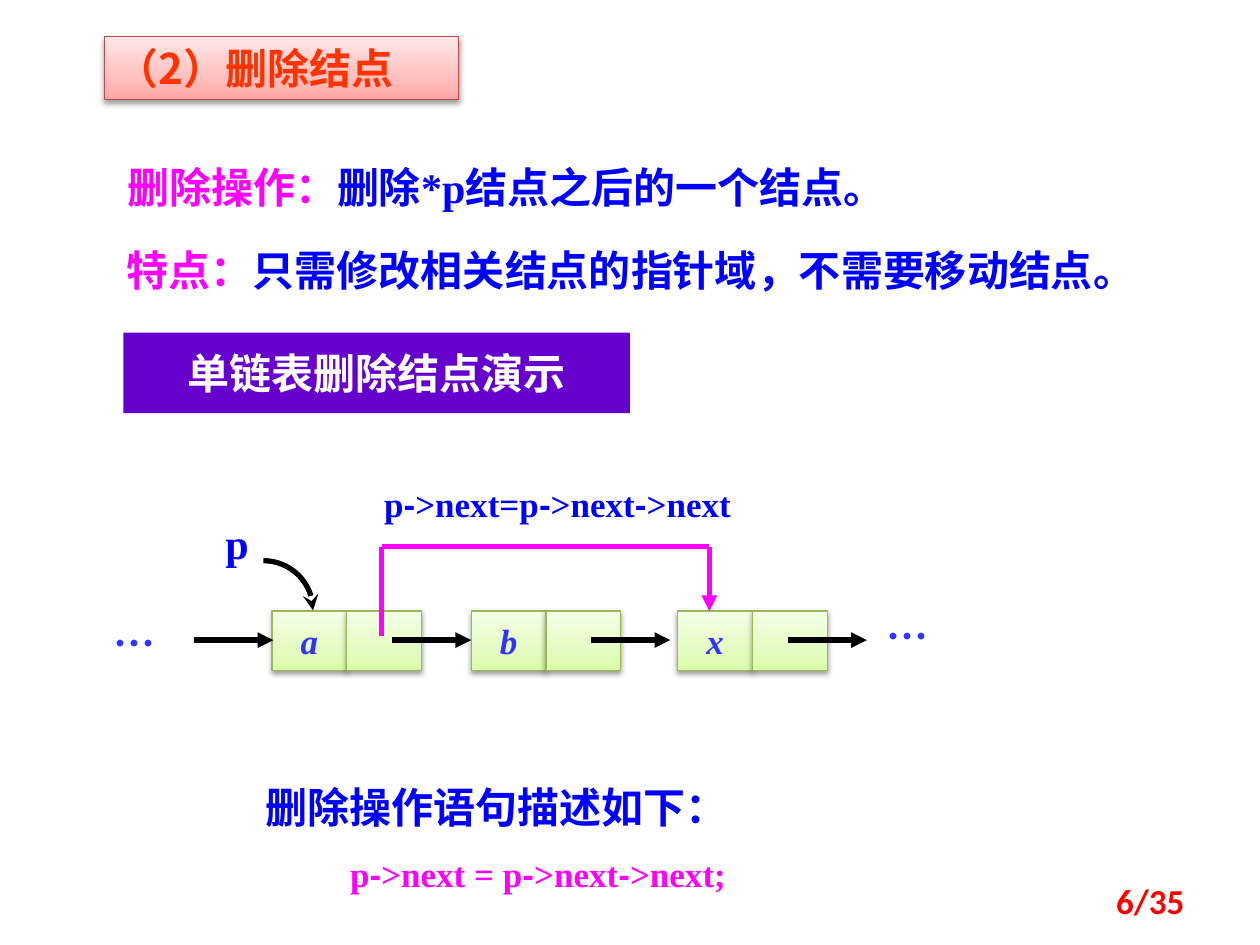
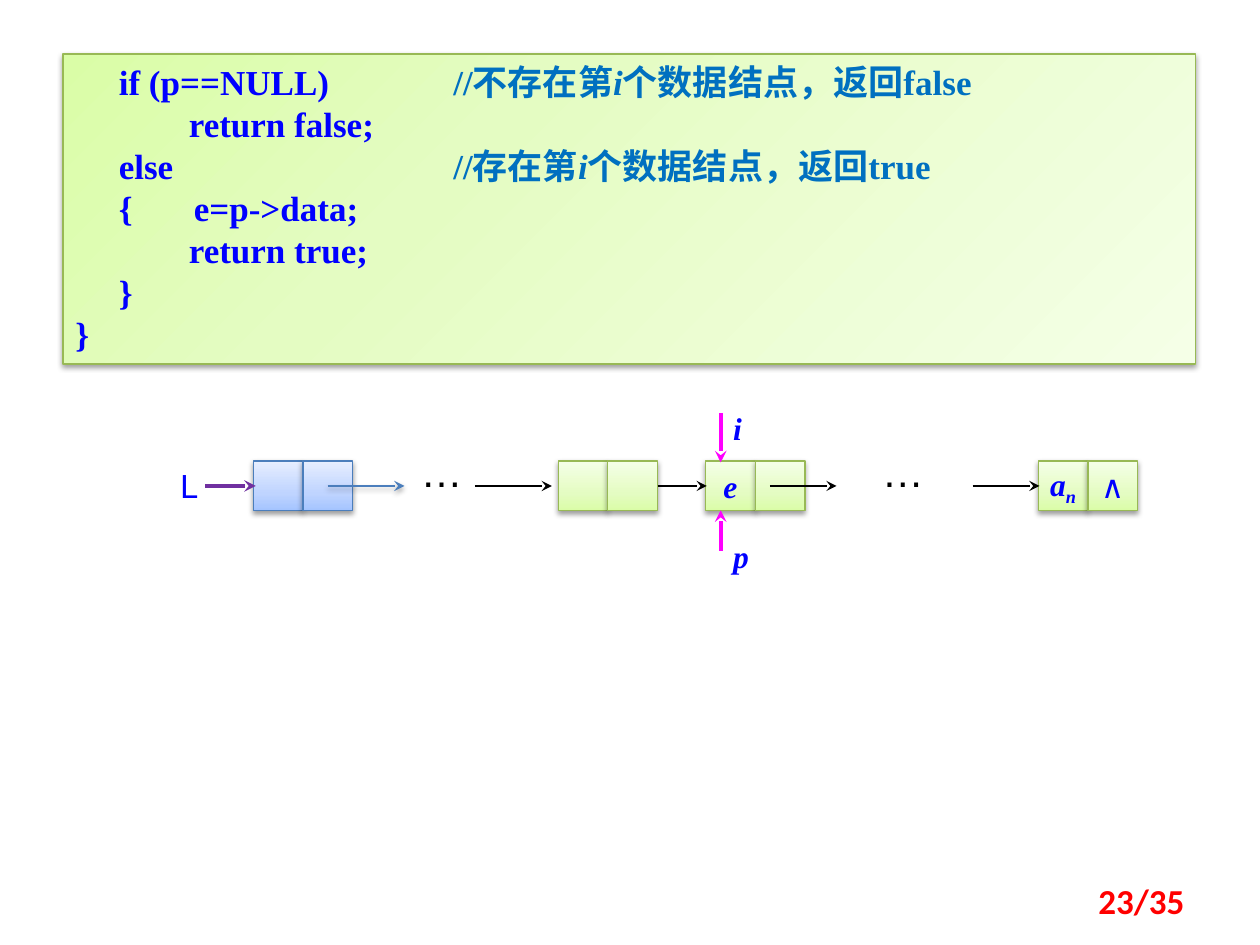
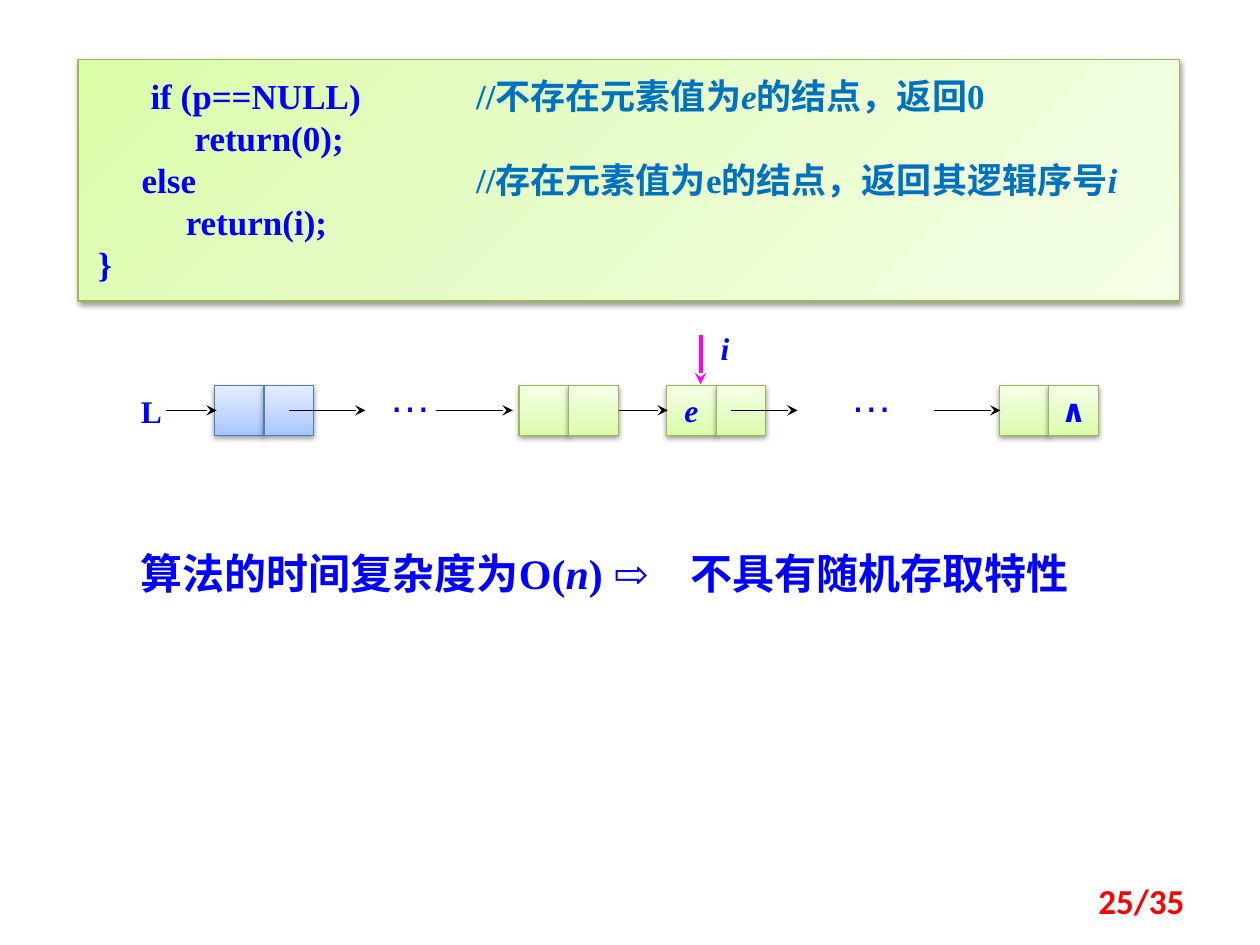
from dataclasses import dataclass, replace
from math import cos, pi, sin
from typing import Optional

from pptx import Presentation
from pptx.dml.color import RGBColor
from pptx.enum.shapes import MSO_CONNECTOR, MSO_SHAPE
from pptx.enum.text import MSO_ANCHOR, PP_ALIGN
from pptx.oxml import parse_xml
from pptx.oxml.ns import nsdecls, qn
from pptx.util import Inches, Pt

# Shared colours and fonts
BLACK = RGBColor(0x00, 0x00, 0x00)
WHITE = RGBColor(0xFF, 0xFF, 0xFF)
BLUE = RGBColor(0x00, 0x00, 0xFF)
SOFT_BLUE = RGBColor(0x33, 0x33, 0xFF)
COMMENT_BLUE = RGBColor(0x00, 0x70, 0xC0)
MAGENTA = RGBColor(0xFF, 0x00, 0xFF)
PURPLE = RGBColor(0x70, 0x30, 0xA0)
BANNER_PURPLE = RGBColor(0x66, 0x00, 0xCC)
ORANGE = RGBColor(0xFF, 0x33, 0x00)
RED = RGBColor(0xFF, 0x00, 0x00)
SERIF, HAN, SANS, SYMBOL = "Times New Roman", "Noto Sans CJK SC", "Arial", "DejaVu Sans"

# The slide is a grid of 100 columns and 75 rows
SLIDE_WIDTH, SLIDE_HEIGHT = Inches(10), Inches(7.5)
COLUMNS, ROWS = 100, 75


@dataclass(frozen=True)
class Theme:
    """Three gradient stops and an outline."""
    dark: RGBColor
    middle: RGBColor
    light: RGBColor
    outline: RGBColor


GREEN_THEME = Theme(RGBColor(0xDA, 0xFD, 0xA7), RGBColor(0xE4, 0xFC, 0xC2),
                    RGBColor(0xF5, 0xFF, 0xE7), RGBColor(0x98, 0xB9, 0x55))
BLUE_THEME = Theme(RGBColor(0xA4, 0xC4, 0xFF), RGBColor(0xBF, 0xD4, 0xFF),
                   RGBColor(0xE6, 0xEE, 0xFF), RGBColor(0x4B, 0x7E, 0xBC))
RED_THEME = Theme(RGBColor(0xFF, 0xA6, 0xA5), RGBColor(0xFF, 0xC0, 0xBF),
                  RGBColor(0xFF, 0xE7, 0xE7), RGBColor(0xBF, 0x4C, 0x48))


@dataclass(frozen=True)
class Area:
    """A place on the grid, in columns and rows."""
    left: float
    top: float
    width: float
    height: float

    def lengths(self) -> tuple:
        return (across(self.left), down(self.top), across(self.width), down(self.height))


@dataclass(frozen=True)
class Span:
    text: str
    color: RGBColor = BLUE
    size: float = 20
    font: str = SERIF
    bold: bool = True
    italic: bool = False
    baseline: int = 0
    shadow: bool = False


@dataclass(frozen=True)
class Para:
    spans: tuple
    align: PP_ALIGN = PP_ALIGN.LEFT
    spacing: float = 1.0
    indent: float = 0
    tabs: tuple = ()


def across(columns: float) -> int:
    return round(SLIDE_WIDTH * columns / COLUMNS)


def down(rows: float) -> int:
    return round(SLIDE_HEIGHT * rows / ROWS)


def shadow_xml(opacity: int = 38):
    return parse_xml(
        f'<a:outerShdw {nsdecls("a")} blurRad="{Pt(3.1)}" dist="{Pt(1.6)}" dir="5400000" '
        f'rotWithShape="0"><a:srgbClr val="000000"><a:alpha val="{opacity}000"/>'
        '</a:srgbClr></a:outerShdw>')


# Text
def write(shape, paras: list, anchor=MSO_ANCHOR.TOP, wrap: bool = True,
          inset: tuple = (1, 0.5)) -> None:
    frame = shape.text_frame
    frame.word_wrap = wrap
    frame.vertical_anchor = anchor
    frame.margin_left = frame.margin_right = across(inset[0])
    frame.margin_top = frame.margin_bottom = down(inset[1])
    for number, para in enumerate(paras):
        paragraph = frame.add_paragraph() if number else frame.paragraphs[0]
        paragraph.alignment = para.align
        paragraph.line_spacing = para.spacing
        properties = paragraph._p.get_or_add_pPr()
        if para.indent:
            properties.set("marL", str(across(para.indent)))
            properties.set("indent", "0")
        if para.tabs:
            stops = "".join(f'<a:tab pos="{across(stop)}" algn="l"/>' for stop in para.tabs)
            properties.append(parse_xml(f'<a:tabLst {nsdecls("a")}>{stops}</a:tabLst>'))
        for span in para.spans:
            write_span(paragraph.add_run(), span)


def write_span(run, span: Span) -> None:
    run.text = span.text
    font = run.font
    font.name, font.size = span.font, Pt(span.size)
    font.bold, font.italic = span.bold, span.italic
    font.color.rgb = span.color
    properties = run._r.get_or_add_rPr()
    east = SYMBOL if span.font == SYMBOL else HAN
    properties.find(qn("a:latin")).addnext(
        parse_xml(f'<a:ea {nsdecls("a")} typeface="{east}"/>'))
    if span.baseline:
        properties.set("baseline", str(span.baseline * 1000))
    if span.shadow:
        effects = parse_xml(f'<a:effectLst {nsdecls("a")}/>')
        effects.append(shadow_xml(43))
        properties.find(qn("a:solidFill")).addnext(effects)


def add_text(page, area: Area, *paras: Para, anchor=MSO_ANCHOR.TOP) -> None:
    write(page.shapes.add_textbox(*area.lengths()), list(paras), anchor)


def pointer_code(code: str, color: RGBColor) -> tuple:
    """Code in serif letters whose minus signs are sans."""
    pieces = code.replace("-", "|-|").split("|")
    return tuple(Span(piece, color, font=SANS if piece == "-" else SERIF) for piece in pieces)


# Shapes and lines
def add_panel(page, area: Area, theme: Theme, angle: int = 270):
    panel = page.shapes.add_shape(MSO_SHAPE.RECTANGLE, *area.lengths())
    panel.line.color.rgb = theme.outline
    panel.line.width = Pt(0.75)
    panel.shadow.inherit = False
    panel.fill.background()
    properties = panel._element.spPr
    properties.find(qn("a:effectLst")).append(shadow_xml())
    stops = "".join(
        f'<a:gs pos="{share}000"><a:srgbClr val="{color}"/></a:gs>'
        for share, color in ((0, theme.dark), (35, theme.middle), (100, theme.light)))
    properties.replace(properties.find(qn("a:noFill")), parse_xml(
        f'<a:gradFill {nsdecls("a")} rotWithShape="1"><a:gsLst>{stops}</a:gsLst>'
        f'<a:lin ang="{angle * 60000}" scaled="1"/></a:gradFill>'))
    return panel


def add_node(page, left: float, top: float, width: float, height: float,
             data: tuple = (), link: tuple = (), theme: Theme = GREEN_THEME) -> None:
    """A list node: a data cell and a link cell side by side."""
    for column, spans in enumerate((data, link)):
        cell = add_panel(page, Area(left + column * width, top, width, height), theme)
        if spans:
            write(cell, [Para(spans, PP_ALIGN.CENTER)], MSO_ANCHOR.MIDDLE, wrap=False)


def set_line(shape, color: RGBColor, weight: float, head: Optional[str]) -> None:
    shape.line.color.rgb = color
    shape.line.width = Pt(weight)
    if head:
        shape.line._get_or_add_ln().append(
            parse_xml(f'<a:tailEnd {nsdecls("a")} type="{head}"/>'))


def add_arrow(page, start: tuple, end: tuple, color: RGBColor = BLACK, weight: float = 0.75,
              head: Optional[str] = "stealth", shadow: bool = False) -> None:
    arrow = page.shapes.add_connector(MSO_CONNECTOR.STRAIGHT, across(start[0]), down(start[1]),
                                      across(end[0]), down(end[1]))
    set_line(arrow, color, weight, head)
    effects = parse_xml(f'<a:effectLst {nsdecls("a")}/>')
    if shadow:
        effects.append(shadow_xml())
    arrow._element.spPr.append(effects)


def add_arc(page, left: float, top: float, size: float) -> None:
    """A quarter turn from the upper left to the lower right."""
    steps = 24
    angles = [pi / 2 * step / steps for step in range(steps + 1)]
    points = [(across(left + size * sin(angle)), down(top + size * (1 - cos(angle))))
              for angle in angles]
    builder = page.shapes.build_freeform(*points[0])
    builder.add_line_segments(points[1:], close=False)
    arc = builder.convert_to_shape()
    arc.fill.background()
    arc.shadow.inherit = False
    set_line(arc, BLACK, 3, "stealth")


# Parts shared by the slides
def add_page(deck, number: int):
    page = deck.slides.add_slide(deck.slide_layouts[6])
    add_text(page, Area(71.7, 69.5, 23.3, 4),
             Para((Span(f"{number}/35", RED, font="Calibri"),), PP_ALIGN.RIGHT),
             anchor=MSO_ANCHOR.MIDDLE)
    return page


def add_label(page, left: float, top: float, span: Span, width: float = 3.9) -> None:
    add_text(page, Area(left, top, width, 4), Para((span,)))


def add_code(page, area: Area, lines: list, inset: tuple) -> None:
    panel = add_panel(page, area, GREEN_THEME, angle=45)
    write(panel, [Para(spans, tabs=tabs) for tabs, spans in lines], inset=inset)


NAME = Span("", size=18, italic=True)
COMMENT = Span("", COMMENT_BLUE)
COMMENT_STOP = 30
CELL = 3.94


def add_chain(page, left: float, top: float, last: tuple, wedge: Span, dots: Span,
              dots_shift: float = 0, entry: tuple = (BLACK, 0.75),
              first: tuple = (BLACK, False)) -> None:
    """The list from its head node to the last one."""
    element = (replace(NAME, text="e"),)
    nodes = ((0, (), (), BLUE_THEME), (24.2, (), (), GREEN_THEME),
             (35.9, element, (), GREEN_THEME), (62.3, last, (wedge,), GREEN_THEME))
    for offset, data, link, theme in nodes:
        add_node(page, left + offset, top, CELL, CELL, data, link, theme)
    middle = top + CELL / 2
    add_arrow(page, (left - 3.8, middle), (left + 0.2, middle), *entry)
    add_arrow(page, (left + 5.9, middle), (left + 12, middle), first[0], shadow=first[1])
    for start, end in ((17.6, 23.7), (32.1, 36), (41, 46.3), (57.1, 62.4)):
        add_arrow(page, (left + start, middle), (left + end, middle))
    for offset in (12.3, 48.9):
        add_text(page, Area(left + offset + dots_shift, top - 1.7, 7.9, 5), Para((dots,)))


def build_delete_page(deck) -> None:
    page = add_page(deck, 6)
    heading = Span("", size=24)
    # Title band, explanation and banner
    title = add_panel(page, Area(8.3, 2.9, 28.1, 5), RED_THEME)
    write(title, [Para((Span("（2）删除结点", ORANGE, 24, HAN),))])
    add_text(page, Area(9.1, 11.5, 69.5, 5.9), Para((
        replace(heading, text="删除操作：", color=MAGENTA),
        replace(heading, text="删除*p结点之后的一个结点。")), PP_ALIGN.JUSTIFY, 1.2))
    add_text(page, Area(9.1, 18.9, 84.3, 5), Para((
        replace(heading, text="特点：", color=MAGENTA),
        replace(heading, text="只需修改相关结点的指针域，不需要移动结点。"))))
    banner = page.shapes.add_shape(MSO_SHAPE.RECTANGLE, *Area(9.8, 26.4, 40.2, 6.4).lengths())
    banner.fill.solid()
    banner.fill.fore_color.rgb = BANNER_PURPLE
    banner.line.fill.background()
    banner.shadow.inherit = False
    write(banner, [Para((Span("单链表删除结点演示", WHITE, 24, HAN),), PP_ALIGN.CENTER)],
          inset=(1.8, 1.2))
    # Linked nodes
    for left, name in ((21.6, "a"), (37.4, "b"), (53.8, "x")):
        add_node(page, left, 48.5, 5.93, 4.7, (Span(name, SOFT_BLUE, italic=True),))
    for start in (15.4, 31.1, 46.9, 62.5):
        add_arrow(page, (start, 50.8), (start + 6.3, 50.8), weight=3, head="triangle")
    for left, top in ((7.5, 48.5), (68.9, 48)):
        add_text(page, Area(left, top, 6.3, 5),
                 Para((Span("…", SOFT_BLUE, 24, HAN),), PP_ALIGN.CENTER))
    # Pointer p and the new link around node b
    add_text(page, Area(16.9, 40.6, 4.7, 5), Para((replace(heading, text="p"),)))
    add_arc(page, 20.9, 44.5, 3.95)
    add_text(page, Area(29.5, 37.8, 40.9, 4.3),
             Para(pointer_code("p->next=p->next->next", BLUE)))
    corners = ((30.3, 50.5), (30.3, 43.4), (56.3, 43.4), (56.3, 48.5))
    for start, end, head in zip(corners, corners[1:], (None, None, "triangle")):
        add_arrow(page, start, end, MAGENTA, 3, head)
    # Statement
    add_text(page, Area(20.1, 59.5, 53.6, 13.1),
             Para((replace(heading, text="删除操作语句描述如下："),), spacing=1.5),
             Para(pointer_code("p->next = p->next->next;", MAGENTA), spacing=1.5, indent=6.7))


def build_get_page(deck) -> None:
    page = add_page(deck, 23)
    index = replace(COMMENT, text="i", italic=True)
    outer, inner = (3.45, COMMENT_STOP), (9,)
    add_code(page, Area(5, 4.3, 89.9, 24.6), [
        (outer, (Span("\tif (p==NULL)\t"), replace(COMMENT, text="//不存在第"), index,
                 replace(COMMENT, text="个数据结点，返回false"))),
        (inner, (Span("\treturn false;"),)),
        (outer, (Span("\telse\t"), replace(COMMENT, text="//存在第"), index,
                 replace(COMMENT, text="个数据结点，返回true"))),
        ((3.45, 9.4), (Span("\t{\te=p->data;"),)),
        (inner, (Span("\treturn true;"),)),
        (outer, (Span("\t}"),)),
        ((), (Span("}"),)),
    ], (1, 0.5))
    last = (replace(NAME, text="a"), replace(NAME, text="n", baseline=-25))
    add_chain(page, 20.1, 36.6, last, Span("∧", size=18, font=SYMBOL, bold=False),
              Span("…", BLACK, 24, SANS, bold=False),
              entry=(PURPLE, 2.25), first=(BLUE_THEME.outline, True))
    add_label(page, 13.3, 36.6, Span("L", size=18, font=SYMBOL, bold=False), 2.9)
    # Position i and pointer p
    add_arrow(page, (57.2, 32.8), (57.2, 36.7), MAGENTA, 2.25)
    add_arrow(page, (57.2, 43.7), (57.2, 40.5), MAGENTA, 2.25)
    for name, top in (("i", 32), ("p", 42.1)):
        add_label(page, 57.2, top, replace(NAME, text=name))


def build_locate_page(deck) -> None:
    page = add_page(deck, 25)
    add_code(page, Area(6.2, 4.7, 87.4, 19.2), [
        ((4.15, COMMENT_STOP), (Span("\tif (p==NULL)\t"), replace(COMMENT, text="//不存在元素值为"),
                                replace(COMMENT, text="e", italic=True),
                                replace(COMMENT, text="的结点，返回0"))),
        ((7.65,), (Span("\treturn(0);"),)),
        ((3.45, COMMENT_STOP), (Span("\telse\t"),
                                replace(COMMENT, text="//存在元素值为e的结点，返回其逻辑序号"),
                                replace(COMMENT, text="i", italic=True))),
        ((6.95,), (Span("\treturn(i);"),)),
        ((), (Span("}"),)),
    ], (1.6, 1.2))
    add_chain(page, 17, 30.6, (), Span("∧", size=18, font=SYMBOL),
              Span("…", BLUE, 24, SANS, bold=False), dots_shift=0.6)
    add_label(page, 10.2, 30.6, Span("L", size=18), 2.9)
    # Position i
    add_arrow(page, (55.6, 26.6), (55.6, 30.5), MAGENTA, 2.25)
    add_label(page, 56.2, 25.6, replace(NAME, text="i"))
    # Conclusion
    claim = Span("算法的时间复杂度为O(", size=24, shadow=True)
    add_text(page, Area(10.2, 43, 76.6, 5), Para(
        (claim, replace(claim, text="n", italic=True),
         replace(claim, text=") ⇨\t不具有随机存取特性")), tabs=(43.6,)))


deck = Presentation()
deck.slide_width, deck.slide_height = SLIDE_WIDTH, SLIDE_HEIGHT
build_delete_page(deck)
build_get_page(deck)
build_locate_page(deck)
deck.save("out.pptx")
